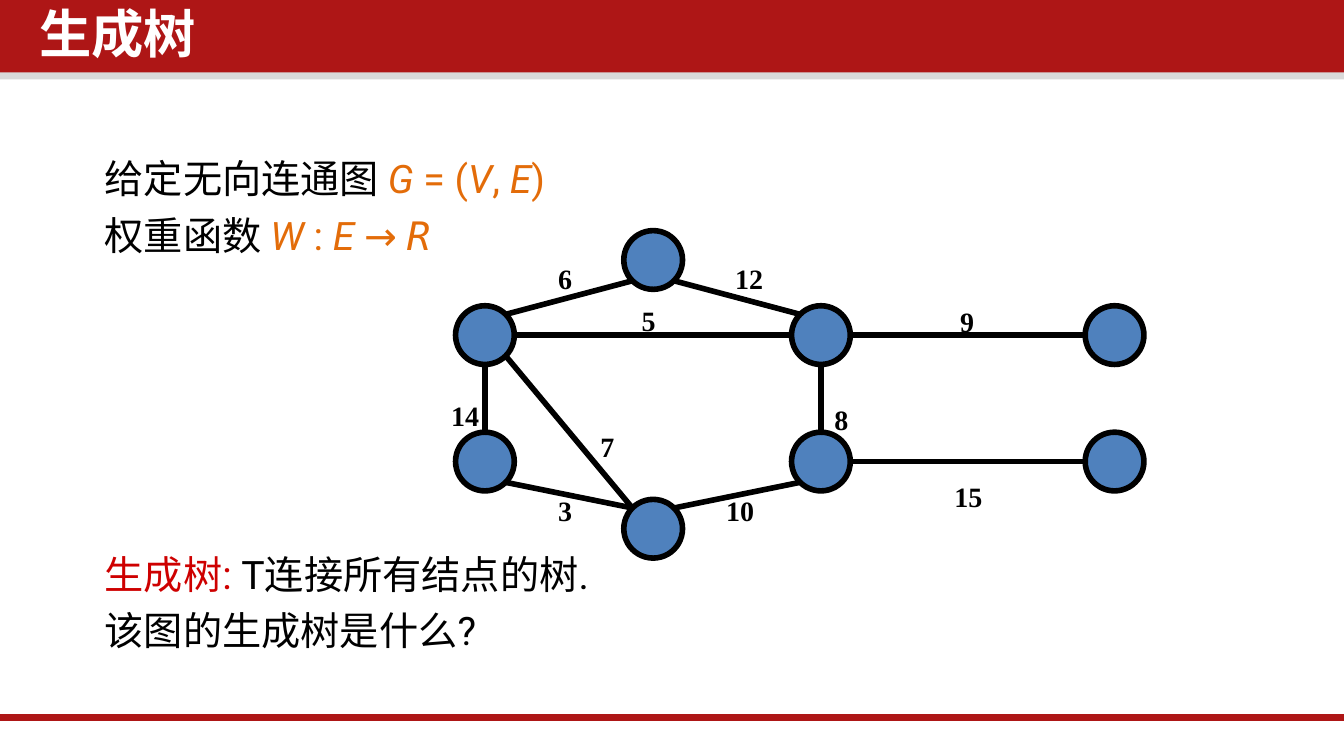
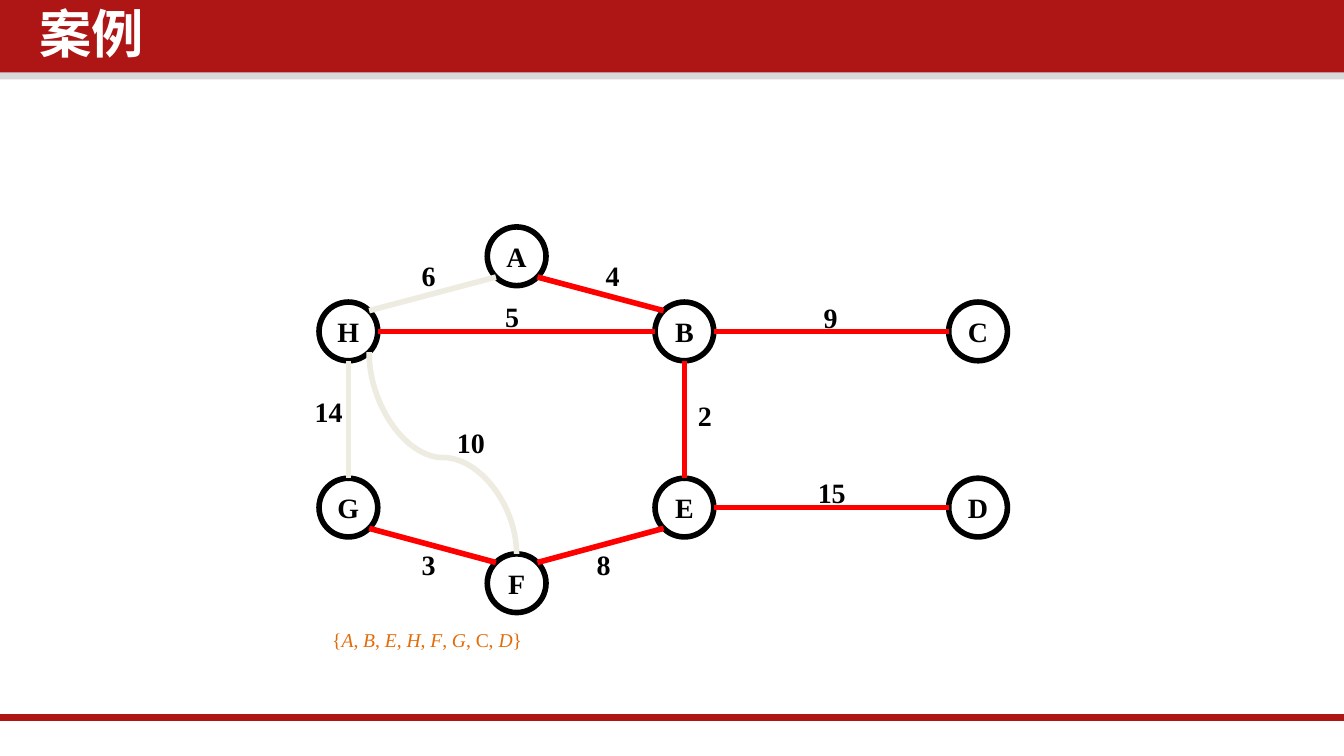
import pptx
import pptx.dml.color
import pptx.enum.shapes
import pptx.enum.text
import pptx.oxml
import pptx.oxml.ns
import pptx.util

Cm = pptx.util.Cm
Pt = pptx.util.Pt
qn = pptx.oxml.ns.qn
SHAPES = pptx.enum.shapes.MSO_SHAPE
CONNECTORS = pptx.enum.shapes.MSO_CONNECTOR
CENTER = pptx.enum.text.PP_ALIGN.CENTER
MIDDLE = pptx.enum.text.MSO_ANCHOR.MIDDLE
FIT = pptx.enum.text.MSO_AUTO_SIZE.SHAPE_TO_FIT_TEXT

WIDTH, HEIGHT = 25.4, 14.29
BRAND, GREY, WHITE, BLACK = "AE1616", "D9D9D9", "FFFFFF", "000000"
ORANGE, CRIMSON, RED, PALE, BLUE = "E36C09", "CE0000", "FF0000", "EEECE1", "4F81BD"
CJK = "Noto Sans CJK SC"

TITLE = {"size": Pt(28), "name": CJK, "bold": True, "color": WHITE}
BODY = {"size": Pt(21), "name": "Roboto", "color": BLACK}
LABEL = {"size": Pt(15), "name": "Times New Roman", "bold": True, "color": BLACK}
CAPTION = {"size": Pt(10.5), "name": "Times New Roman", "color": ORANGE}
FORMULA = {"color": ORANGE}
SYMBOL = {"color": ORANGE, "italic": True}

DIAMETER = 1.11
COLUMNS = (0, 3.18, 6.35, 11.9)
# Node: column, row
NODES = {"H": (0, 1), "B": (2, 1), "C": (3, 1), "G": (0, 2),
         "E": (2, 2), "D": (3, 2), "F": (1, 3), "A": (1, 0)}
# Edge: site on the first node, site on the second, label centre in the graph
EDGES = {
    "AB": ("SE", "NW", 5.55, 0.91),
    "AH": ("SW", "NE", 2.07, 0.91),
    "HB": ("E", "W", 3.65, 1.69),
    "GH": ("N", "S", 0.18, 3.49),
    "GF": ("SE", "NW", 2.07, None),
    "FE": ("NE", "SW", 5.38, None),
    "EB": ("N", "S", 7.29, 3.57),
    "BC": ("E", "W", 9.67, 1.71),
    "ED": ("E", "W", 9.69, 5.02),
    "HF": ("SE", "NW", 2.87, 4.08),
}
BELOW_BOTTOM_ROW = 0.2


def colour(value):
    return pptx.dml.color.RGBColor.from_string(value)


def add_run(paragraph, text, style):
    run = paragraph.add_run()
    run.text = text
    for name, value in style.items():
        if name == "color":
            run.font.color.rgb = colour(value)
        else:
            setattr(run.font, name, value)
    properties = run._r.get_or_add_rPr()
    properties.find(qn("a:latin")).addnext(
        properties.makeelement(qn("a:ea"), {"typeface": CJK}))


def add_text(slide, box, **frame_format):
    """Add an empty text box and return its text frame."""
    frame = slide.shapes.add_textbox(*map(Cm, box)).text_frame
    frame.word_wrap = True
    for name, value in frame_format.items():
        setattr(frame, name, value)
    return frame


def add_shape(slide, kind, box, fill=None, line=None):
    shape = slide.shapes.add_shape(kind, *map(Cm, box))
    shape.shadow.inherit = False
    if fill:
        shape.fill.solid()
        shape.fill.fore_color.rgb = colour(fill)
    else:
        shape.fill.background()
    if line:
        shape.line.color.rgb = colour(line)
        shape.line.width = Pt(3)
    else:
        shape.line.fill.background()
    return shape


def add_line(slide, start, end, line, width=3, kind=CONNECTORS.STRAIGHT):
    connector = slide.shapes.add_connector(kind, *map(Cm, (*start, *end)))
    connector.line.color.rgb = colour(line)
    connector.line.width = Pt(width)
    properties = connector._element.spPr
    properties.append(properties.makeelement(qn("a:effectLst"), {}))
    return connector


def add_upright_curve(slide, start, end, line):
    """Add a curve that leaves the lower end upwards: a level curve turned by 90 degrees."""
    middle_x, middle_y = (start[0] + end[0]) / 2, (start[1] + end[1]) / 2
    half_width, half_height = abs(end[1] - start[1]) / 2, abs(end[0] - start[0]) / 2
    connector = add_line(slide, (middle_x + half_width, middle_y - half_height),
                         (middle_x - half_width, middle_y + half_height),
                         line, kind=CONNECTORS.CURVE)
    connector._element.spPr.find(qn("a:xfrm")).set("rot", str(90 * 60000))
    adjustments = connector._element.spPr.find(qn("a:prstGeom")).find(qn("a:avLst"))
    adjustments.append(adjustments.makeelement(
        qn("a:gd"), {"name": "adj1", "fmla": "val 47800"}))


def set_spacing(paragraph, before=7.5):
    paragraph.line_spacing = 0.9
    paragraph.space_before = Pt(before)


def add_base(presentation, title):
    """Add a slide with its bands, footer line and title."""
    slide = presentation.slides.add_slide(presentation.slide_layouts[6])
    add_shape(slide, SHAPES.RECTANGLE, (0, 1.27, WIDTH, 0.23), GREY)
    add_shape(slide, SHAPES.RECTANGLE, (0, 0, WIDTH, 1.37), BRAND)
    add_line(slide, (0, 13.56), (WIDTH, 13.56), BRAND, 4)
    frame = add_text(slide, (0.56, 0.05, 19.4, 1.5), margin_left=Cm(0.19),
                     margin_right=Cm(0.19), margin_top=Cm(0.1), margin_bottom=Cm(0.1))
    set_spacing(frame.paragraphs[0])
    add_run(frame.paragraphs[0], title, TITLE)
    return slide


def site_point(centre, site):
    """Return the point of a node's rim in a compass direction."""
    x = ("E" in site) - ("W" in site)
    y = ("S" in site) - ("N" in site)
    reach = DIAMETER / 2 / (x * x + y * y) ** 0.5
    return centre[0] + x * reach, centre[1] + y * reach


def add_label(slide, text, x, y):
    width, height = 0.5 + 0.27 * len(text), 0.89
    frame = add_text(slide, (x - width / 2, y - height / 2, width, height),
                     word_wrap=False, auto_size=FIT)
    frame.paragraphs[0].alignment = CENTER
    add_run(frame.paragraphs[0], text, LABEL)


def add_graph(slide, left, top, rows, edges, fill=None, named=False, curved=()):
    """Draw the graph; edges maps a pair of nodes to its weight and colour."""
    centres = {}
    for name, (column, row) in NODES.items():
        x, y = left + COLUMNS[column], top + rows[row]
        centres[name] = (x + DIAMETER / 2, y + DIAMETER / 2)
        node = add_shape(slide, SHAPES.OVAL, (x, y, DIAMETER, DIAMETER), fill, BLACK)
        if named:
            frame = node.text_frame
            frame.word_wrap = False
            frame.vertical_anchor = MIDDLE
            frame.paragraphs[0].alignment = CENTER
            add_run(frame.paragraphs[0], name, LABEL)

    for pair, (weight, line) in edges.items():
        first_site, second_site, label_x, label_y = EDGES[pair]
        start = site_point(centres[pair[0]], first_site)
        if pair in curved:
            add_upright_curve(slide, start, site_point(centres[pair[1]], "N"), line)
        else:
            add_line(slide, start, site_point(centres[pair[1]], second_site), line)
        if label_y is None:
            label_y = rows[-1] + BELOW_BOTTOM_ROW
        add_label(slide, weight, left + label_x, top + label_y)


def add_statement(slide, box):
    paragraphs = [
        (7.5, [("给定无向连通图 ", {}), ("G", SYMBOL), (" = (", FORMULA), ("V", SYMBOL),
               (", ", FORMULA), ("E", SYMBOL), (")", FORMULA)]),
        (7.5, [("权重函数 ", {}), ("W", SYMBOL), (" : ", FORMULA), ("E ", SYMBOL),
               ("→ ", FORMULA), ("R", {**SYMBOL, "name": "DejaVu Sans Mono"})]),
        (159, [("生成树:", {"color": CRIMSON}), (" T连接所有结点的树.", {})]),
        (7.5, [("该图的生成树是什么?", {})]),
    ]
    frame = add_text(slide, box)
    for index, (before, runs) in enumerate(paragraphs):
        paragraph = frame.add_paragraph() if index else frame.paragraphs[0]
        set_spacing(paragraph, before)
        properties = paragraph._p.get_or_add_pPr()
        properties.set("marL", str(Cm(0.48)))
        properties.set("indent", str(-Cm(0.48)))
        for text, style in runs:
            add_run(paragraph, text, {**BODY, **style})


def add_visit_order(slide, box):
    frame = add_text(slide, box, word_wrap=False, auto_size=FIT)
    paragraph = frame.paragraphs[0]
    add_run(paragraph, "{", CAPTION)
    for index, name in enumerate("ABEHFGCD"):
        if index:
            add_run(paragraph, ", ", CAPTION)
        add_run(paragraph, name, {**CAPTION, "italic": name != "C"})
    add_run(paragraph, "}", CAPTION)


def add_definition_slide(presentation):
    slide = add_base(presentation, "生成树")
    add_statement(slide, (1.73, 2.9, 22.56, 8.81))
    weights = {"AB": "12", "AH": "6", "HB": "5", "GH": "14", "GF": "3",
               "FE": "10", "EB": "8", "BC": "9", "ED": "15", "HF": "7"}
    edges = {pair: (weight, BLACK) for pair, weight in weights.items()}
    add_graph(slide, 8.61, 4.36, (0, 1.42, 3.81, 5.08), edges, fill=BLUE)


def add_example_slide(presentation):
    slide = add_base(presentation, "案例")
    edges = {"AB": ("4", RED), "AH": ("6", PALE), "HB": ("5", RED), "GH": ("14", PALE),
             "GF": ("3", RED), "FE": ("8", RED), "EB": ("2", RED), "BC": ("9", RED),
             "ED": ("15", RED), "HF": ("10", PALE)}
    add_graph(slide, 6.03, 4.29, (0, 1.42, 4.75, 6.18), edges, named=True, curved=("HF",))
    add_visit_order(slide, (6.03, 11.74, 4.11, 0.71))


def main():
    presentation = pptx.Presentation()
    presentation.slide_width, presentation.slide_height = Cm(WIDTH), Cm(HEIGHT)
    add_definition_slide(presentation)
    add_example_slide(presentation)
    presentation.save("out.pptx")


if __name__ == "__main__":
    main()
